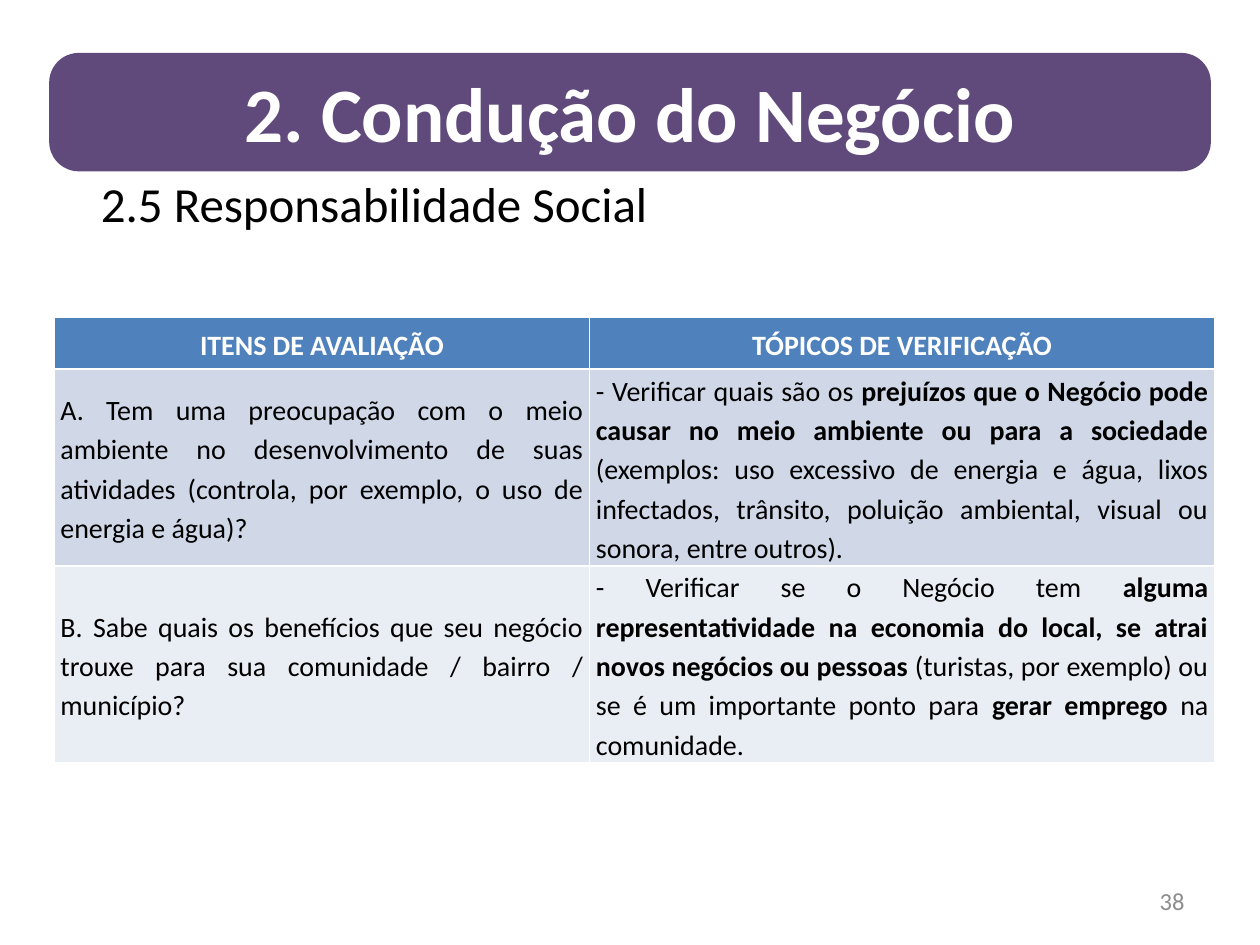
from pptx import Presentation
from pptx.dml.color import RGBColor
from pptx.enum import shapes, text
from pptx.util import Inches, Pt

WHITE = RGBColor(0xFF, 0xFF, 0xFF)
BLACK = RGBColor(0, 0, 0)
GRAY = RGBColor(0x8C, 0x8C, 0x8C)
PURPLE = RGBColor(0x60, 0x4A, 0x7B)
HEADER_BLUE = RGBColor(0x4F, 0x81, 0xBD)
BAND_DARK = RGBColor(0xD0, 0xD8, 0xE8)
BAND_LIGHT = RGBColor(0xE9, 0xED, 0xF4)

CENTER, RIGHT, JUSTIFY = (text.PP_ALIGN.CENTER, text.PP_ALIGN.RIGHT,
                          text.PP_ALIGN.JUSTIFY)


def write(frame, content, size, color=BLACK, bold=False, align=text.PP_ALIGN.LEFT,
          anchor=text.MSO_ANCHOR.MIDDLE, spacing=None):
    """Fill one paragraph; parts between ** marks switch bold on and off."""
    frame.word_wrap = True
    frame.vertical_anchor = anchor
    paragraph = frame.paragraphs[0]
    paragraph.alignment = align
    paragraph.line_spacing = spacing
    for index, part in enumerate(content.split("**")):
        run = paragraph.add_run()
        run.text = part
        run.font.name = "Calibri"
        run.font.size = Pt(size)
        run.font.bold = bold or index % 2 == 1
        run.font.color.rgb = color


presentation = Presentation()
presentation.slide_width = Inches(10)
presentation.slide_height = Inches(7.5)
slide = presentation.slides.add_slide(presentation.slide_layouts[5])

# Evaluation table
rows = [
    ("ITENS DE AVALIAÇÃO", "TÓPICOS DE VERIFICAÇÃO"),
    ("A. Tem uma preocupação com o meio ambiente no desenvolvimento de suas "
     "atividades (controla, por exemplo, o uso de energia e água)?",
     "- Verificar quais são os **prejuízos que o Negócio pode causar no meio "
     "ambiente ou para a sociedade **(exemplos: uso excessivo de energia e água, "
     "lixos infectados, trânsito, poluição ambiental, visual ou sonora, entre "
     "outros)."),
    ("B. Sabe quais os benefícios que seu negócio trouxe para sua comunidade / "
     "bairro / município?",
     "- Verificar se o Negócio tem **alguma representatividade na economia do "
     "local, se atrai novos negócios ou pessoas** (turistas, por exemplo) ou se é "
     "um importante ponto para **gerar emprego **na comunidade."),
]
fills = [HEADER_BLUE, BAND_DARK, BAND_LIGHT]
row_heights = [0.41, 1.53, 1.53]
column_widths = [4.25, 4.96]

table = slide.shapes.add_table(
    len(rows), len(column_widths), Inches(0.43), Inches(2.52),
    Inches(sum(column_widths)), Inches(sum(row_heights))).table
for column, width in zip(table.columns, column_widths):
    column.width = Inches(width)
for row, height, fill, contents in zip(table.rows, row_heights, fills, rows):
    row.height = Inches(height)
    is_header = fill == HEADER_BLUE
    for cell, content in zip(row.cells, contents):
        cell.fill.solid()
        cell.fill.fore_color.rgb = fill
        cell.margin_left = cell.margin_right = Inches(0.05)
        cell.margin_top = cell.margin_bottom = 0
        cell.vertical_anchor = text.MSO_ANCHOR.MIDDLE
        write(cell.text_frame, content, 16, color=WHITE if is_header else BLACK,
              bold=is_header, align=CENTER if is_header else JUSTIFY, spacing=1.15)

# Section title
title = slide.shapes.title
title.left, title.top = Inches(0.7), Inches(1.33)
title.width, title.height = Inches(8.66), Inches(1.07)
write(title.text_frame, "2.5 Responsabilidade Social", 28,
      anchor=text.MSO_ANCHOR.TOP)

# Chapter banner
banner = slide.shapes.add_shape(
    shapes.MSO_SHAPE.ROUNDED_RECTANGLE,
    Inches(0.39), Inches(0.42), Inches(9.22), Inches(0.94))
banner.adjustments[0] = 0.25
banner.shadow.inherit = False
banner.fill.solid()
banner.fill.fore_color.rgb = PURPLE
banner.line.fill.background()
write(banner.text_frame, "2. Condução do Negócio", 44, color=WHITE, bold=True,
      align=CENTER)

# Page number
page_number = slide.shapes.add_textbox(
    Inches(7.17), Inches(6.95), Inches(2.33), Inches(0.4))
write(page_number.text_frame, "38", 14, color=GRAY, align=RIGHT)

presentation.save("out.pptx")
